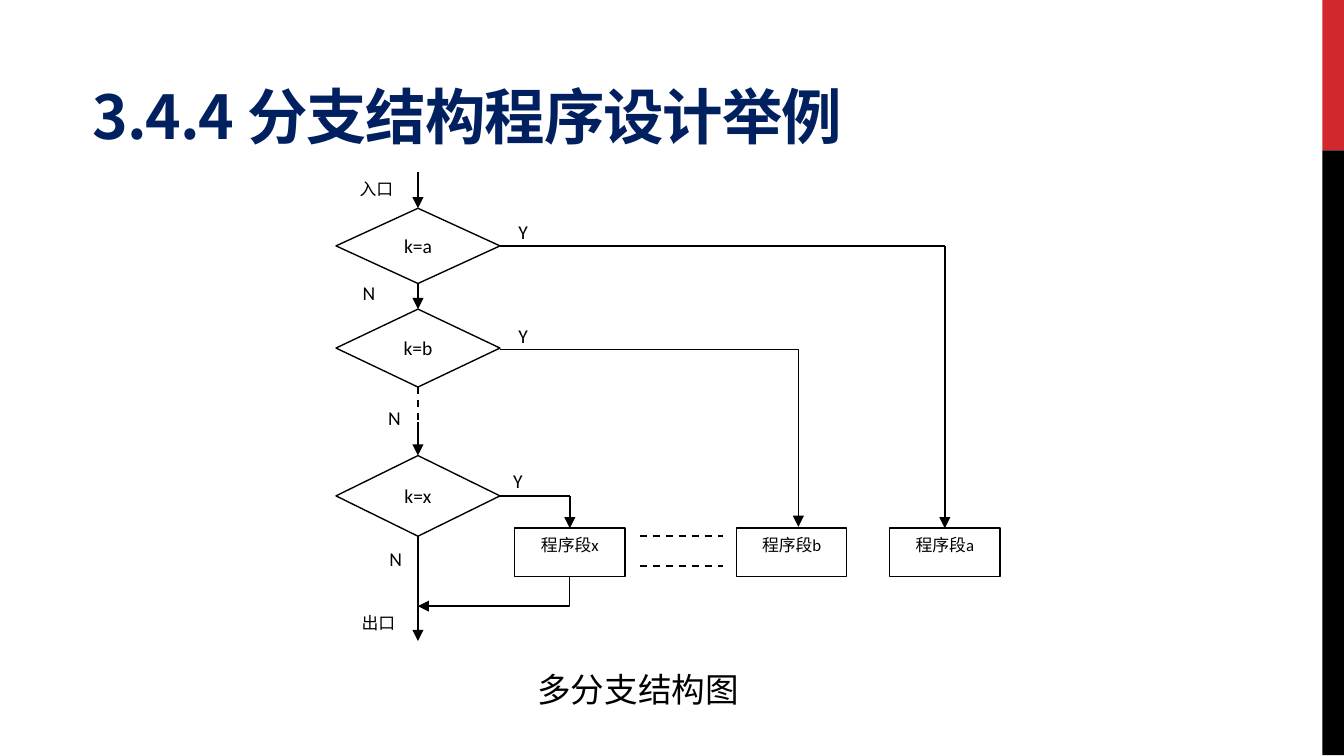
from lxml import etree
from pptx import Presentation
from pptx.dml.color import RGBColor
from pptx.enum.dml import MSO_LINE
from pptx.enum.shapes import MSO_CONNECTOR, MSO_SHAPE
from pptx.enum.text import MSO_ANCHOR, PP_ALIGN
from pptx.oxml.ns import qn
from pptx.util import Inches, Pt

RECT, DIAMOND = MSO_SHAPE.RECTANGLE, MSO_SHAPE.DIAMOND
STRAIGHT, ELBOW = MSO_CONNECTOR.STRAIGHT, MSO_CONNECTOR.ELBOW
TOP, MIDDLE, BOTTOM = MSO_ANCHOR.TOP, MSO_ANCHOR.MIDDLE, MSO_ANCHOR.BOTTOM
CENTER, JUSTIFY = PP_ALIGN.CENTER, PP_ALIGN.JUSTIFY
DASH = MSO_LINE.DASH
COLORS = {"ink": "000000", "paper": "FFFFFF", "red": "D1282E", "navy": "002060"}
RGB = {name: RGBColor.from_string(code) for name, code in COLORS.items()}

deck = Presentation()
deck.slide_width = Inches(10)
deck.slide_height = Inches(10) * 9 // 16
slide = deck.slides.add_slide(deck.slide_layouts[6])
shapes = slide.shapes


def add_box(kind, at, text="", size=9, align=CENTER, anchor=TOP,
            fill="paper", edge=None):
    """Add a preset shape with one paragraph; fill or edge None means none."""
    box = shapes.add_shape(kind, *map(Inches, at))
    box.shadow.inherit = False
    if fill:
        box.fill.solid()
        box.fill.fore_color.rgb = RGB[fill]
    else:
        box.fill.background()
    if edge:
        box.line.color.rgb = RGB[edge]
        box.line.width = Pt(0.75)
    else:
        box.line.fill.background()
    if text:
        frame = box.text_frame
        frame.word_wrap = True
        frame.vertical_anchor = anchor
        para = frame.paragraphs[0]
        para.text = text
        para.alignment = align
        para.font.size, para.font.name = Pt(size), "Calibri"
        para.font.color.rgb = RGB["ink"]
    return box


def add_line(start, end, head=True, dash=False, bend=None, source=None, target=None):
    """Draw a line; bend is the elbow's share of the width, and source and
    target are (shape, side) pairs to join."""
    kind = STRAIGHT if bend is None else ELBOW
    line = shapes.add_connector(kind, *map(Inches, start + end))
    if source:
        line.begin_connect(*source)
    if target:
        line.end_connect(*target)
    line.line.color.rgb = RGB["ink"]
    line.line.width = Pt(1 if dash else 0.75)
    if dash:
        line.line.dash_style = DASH
    props = line._element.spPr
    if head:
        etree.SubElement(props.find(qn("a:ln")), qn("a:tailEnd"), type="triangle")
    if bend is not None:
        values = props.find(qn("a:prstGeom")).find(qn("a:avLst"))
        etree.SubElement(values, qn("a:gd"), name="adj1", fmla=f"val {bend * 100000}")
    etree.SubElement(props, qn("a:effectLst"))


# Side bar
add_box(RECT, (9.84, 0, 0.16, 1.12), fill="red")
add_box(RECT, (9.84, 1.12, 0.16, 4.5), fill="ink")

# Title and caption
title = shapes.add_textbox(*map(Inches, (0.59, 0.49, 8.19, 0.69)))
title.text_frame.word_wrap = True
title.text_frame.vertical_anchor = BOTTOM
para = title.text_frame.paragraphs[0]
run = para.add_run()
run.text = "3.4.4 分支结构程序设计举例"
run.font.size, run.font.bold = Pt(32.4), True
run.font.name = "Noto Sans CJK SC"
run.font.color.rgb = RGB["navy"]
props = run._r.get_or_add_rPr()
props.set("spc", "-60")
etree.SubElement(props, qn("a:ea"), typeface="Noto Sans CJK SC")

note = shapes.add_textbox(*map(Inches, (3.9, 4.93, 1.72, 0.4)))
para = note.text_frame.paragraphs[0]
para.text = "多分支结构图"
para.font.size, para.font.name = Pt(18), "Calibri"
para.font.color.rgb = RGB["ink"]

# Branch labels, then entry and exit
for text, left, top in (("Y", 3.76, 1.59), ("Y", 3.76, 2.36), ("Y", 3.72, 3.44),
                        ("N", 2.6, 2.04), ("N", 2.79, 2.97), ("N", 2.8, 4.02)):
    add_box(RECT, (left, top, 0.34, 0.33), text, 10.5, JUSTIFY)
add_box(RECT, (2.54, 1.28, 0.52, 0.32), "入口", fill=None)
add_box(RECT, (2.58, 4.51, 0.47, 0.33), "出口")

# Tests and program segments
tests = {}
for key, top, height in (("a", 1.55, 0.56), ("b", 2.3, 0.58), ("x", 3.39, 0.6)):
    tests[key] = add_box(DIAMOND, (2.5, top, 1.22, height), f"k={key}", 10.5,
                         anchor=MIDDLE, edge="ink")
parts = {}
for key, left in (("x", 3.83), ("b", 5.48), ("a", 6.62)):
    parts[key] = add_box(RECT, (left, 3.93, 0.82, 0.36), f"程序段{key}", edge="ink")

# Main path down
add_line((3.11, 1.28), (3.11, 1.55), target=(tests["a"], 0))
add_line((3.11, 2.11), (3.11, 2.3), source=(tests["a"], 2), target=(tests["b"], 0))
add_line((3.11, 2.88), (3.11, 3.14), head=False, dash=True, source=(tests["b"], 2))
add_line((3.11, 3.14), (3.11, 3.39), target=(tests["x"], 0))
add_line((3.11, 3.99), (3.11, 4.77), source=(tests["x"], 2))

# Branches to the segments, and the way back
add_line((3.72, 1.83), (7.03, 1.83), head=False, source=(tests["a"], 3))
add_line((7.03, 1.83), (7.03, 3.93), target=(parts["a"], 0))
add_line((3.72, 2.6), (5.94, 3.92), bend=1)
add_line((3.72, 3.69), (4.24, 3.69), head=False, source=(tests["x"], 3))
add_line((4.24, 3.69), (4.24, 3.93), target=(parts["x"], 0))
add_line((4.24, 4.29), (3.11, 4.51), bend=0)

# Omitted segments
for y in (3.99, 4.21):
    add_line((4.76, y), (5.38, y), head=False, dash=True)

deck.save("out.pptx")
